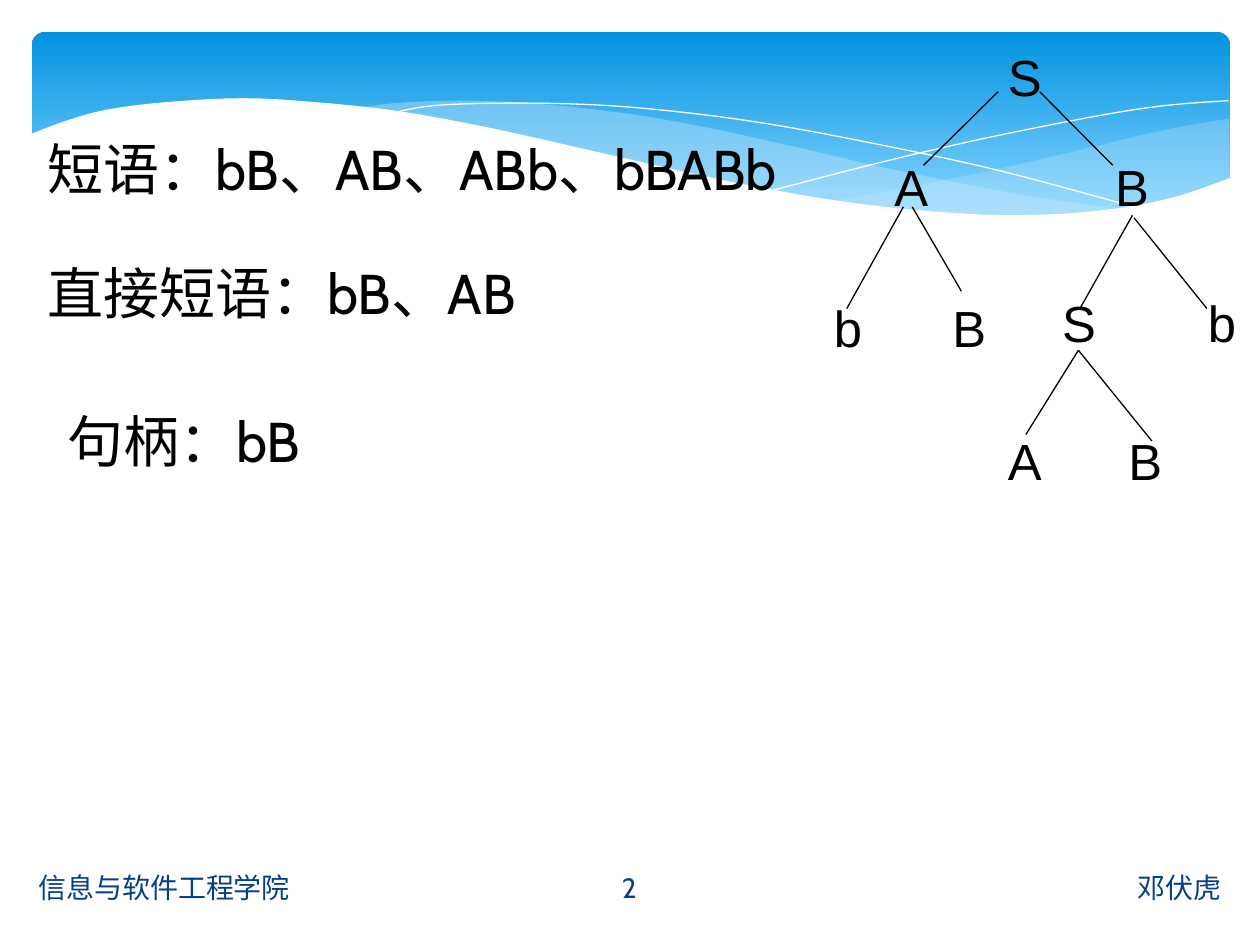
from lxml.etree import SubElement
from pptx import Presentation
from pptx.dml.color import RGBColor
from pptx.enum.shapes import MSO_CONNECTOR, MSO_SHAPE
from pptx.enum.text import MSO_ANCHOR, PP_ALIGN
from pptx.oxml.ns import qn
from pptx.util import Cm, Pt

# All positions are in centimetres.
BLACK, WHITE, NAVY, PALE = "000000", "FFFFFF", "073E87", "C6E7FC"

STATEMENTS = [  # text, left, top, width
    ("短语：bB、AB、ABb、bBABb", 0.71, 2.59, 15.34),
    ("直接短语：bB、AB", 0.71, 5.08, 10.03),
    ("句柄：bB", 1.12, 8.08, 5.23),
]
FOOTERS = [  # text, left, width, alignment
    ("邓伏虎", 14.35, 10.52, PP_ALIGN.RIGHT),
    ("信息与软件工程学院", 0.53, 10.52, PP_ALIGN.LEFT),
    ("2", 11.07, 3.23, PP_ALIGN.CENTER),
]
TREE_NODES = [  # symbol, left, top
    ("S", 20.07, 0.91),
    ("A", 17.78, 3.12), ("B", 22.23, 3.12),
    ("b", 16.56, 5.97), ("B", 18.95, 5.97), ("S", 21.16, 5.87), ("b", 24.1, 5.87),
    ("A", 20.07, 8.64), ("B", 22.5, 8.64),
]
TREE_BRANCHES = [  # from x, y, to x, y
    (20.12, 1.85, 18.62, 3.33), (20.96, 1.85, 22.43, 3.33),
    (18.21, 4.17, 17.07, 6.22), (18.39, 4.17, 19.38, 5.87),
    (22.83, 4.34, 21.77, 6.22), (22.86, 4.39, 24.33, 6.22),
    (21.74, 7.06, 20.68, 8.76), (21.74, 7.06, 23.22, 8.89),
]

# Each wave is a list of edges; an edge is a smooth curve through its points.
RIGHT_WAVE = [
    [(24.77, 2.39), (23.39, 2.64), (21.87, 3.0), (19.79, 3.48), (16.79, 4.06)],
    [(16.79, 4.06), (18.26, 4.24), (19.84, 4.37), (21.21, 4.37), (22.38, 4.24),
     (23.57, 4.01), (24.79, 3.58)],
]
MIDDLE_WAVE = [
    [(22.68, 4.24), (20.5, 3.91), (17.93, 3.4), (15.98, 2.95), (14.1, 2.54),
     (12.42, 2.26), (10.67, 2.08), (9.17, 2.03), (7.95, 2.08), (7.26, 2.18)],
    [(7.26, 2.18), (8.69, 2.39), (10.26, 2.69), (11.4, 2.95), (13.46, 3.43),
     (15.7, 3.89), (17.65, 4.19), (19.33, 4.34), (20.78, 4.39), (21.77, 4.34),
     (22.68, 4.24)],
]
FALLING_LINE = [
    [(7.85, 2.29), (8.74, 2.13), (10.19, 2.08), (11.91, 2.11), (13.54, 2.24),
     (15.44, 2.49), (17.65, 2.9), (20.19, 3.45), (23.04, 4.22)],
]
RISING_LINE = [
    [(15.57, 3.84), (17.65, 3.3), (19.71, 2.82), (22.0, 2.36), (23.47, 2.13),
     (24.77, 2.03)],
]
WHITE_WAVE = [
    [(24.82, 3.58), (23.62, 3.99), (22.23, 4.24), (20.55, 4.34), (18.9, 4.27),
     (16.97, 4.06), (14.71, 3.66), (12.07, 3.07), (9.93, 2.59), (8.03, 2.24),
     (6.35, 2.06), (4.9, 1.98), (3.35, 2.06), (2.16, 2.21), (1.32, 2.44),
     (0.58, 2.72)],
    [(0.58, 2.72), (0.58, 5.69)],
    [(0.58, 5.69), (24.82, 5.69)],
]
WAVES = [  # edges, fill, opacity in percent; no fill means a white hairline
    (RIGHT_WAVE, PALE, 29),
    (MIDDLE_WAVE, PALE, 40),
    (FALLING_LINE, None, None),
    (RISING_LINE, None, None),
    (WHITE_WAVE, WHITE, 100),
]


def color(value):
    return RGBColor.from_string(value)


def smooth(points, steps=4):
    """Add points between the given ones along a Catmull-Rom curve."""
    if len(points) == 2:
        return points
    padded = [points[0], *points, points[-1]]
    curve = [points[0]]
    for a, b, c, d in zip(padded, padded[1:], padded[2:], padded[3:]):
        for step in range(1, steps + 1):
            t = step / steps
            curve.append(tuple(
                (2 * q + (r - p) * t + (2 * p - 5 * q + 4 * r - s) * t ** 2
                 + (3 * q - p - 3 * r + s) * t ** 3) / 2
                for p, q, r, s in zip(a, b, c, d)))
    return curve


def add_banner(page):
    banner = page.shapes.add_shape(
        MSO_SHAPE.ROUNDED_RECTANGLE, Cm(0.64), Cm(0.64), Cm(24.16), Cm(3.96))
    banner.adjustments[0] = 0.07
    banner.shadow.inherit = False
    banner.line.fill.background()
    banner.fill.gradient()
    banner.fill.gradient_angle = 270
    stops = [(0, "0293E0"), (0.9, "83D3FE")]
    for stop, (position, value) in zip(banner.fill.gradient_stops, stops):
        stop.position = position
        stop.color.rgb = color(value)


def add_wave(page, edges, fill, opacity):
    points = [(Cm(x), Cm(y)) for edge in edges for x, y in smooth(edge)]
    builder = page.shapes.build_freeform(*points[0])
    builder.add_line_segments(points[1:], close=fill is not None)
    wave = builder.convert_to_shape()
    wave.shadow.inherit = False
    if fill is None:
        wave.fill.background()
        wave.line.color.rgb = color(WHITE)
        wave.line.width = Pt(0)
        return
    wave.line.fill.background()
    wave.fill.solid()
    wave.fill.fore_color.rgb = color(fill)
    if opacity < 100:
        tint = next(wave.element.spPr.iter(qn("a:srgbClr")))
        SubElement(tint, qn("a:alpha"), val=str(opacity * 1000))


def add_text(page, text, left, top, width, height, size, font, ink=BLACK,
             align=PP_ALIGN.LEFT, anchor=MSO_ANCHOR.TOP, spacing=1.0):
    box = page.shapes.add_textbox(Cm(left), Cm(top), Cm(width), Cm(height))
    frame = box.text_frame
    frame.word_wrap = True
    frame.vertical_anchor = anchor
    para = frame.paragraphs[0]
    para.alignment = align
    para.line_spacing = spacing
    span = para.add_run()
    span.text = text
    span.font.size = Pt(size)
    span.font.name = font
    span.font.color.rgb = color(ink)


def add_branch(page, *ends):
    branch = page.shapes.add_connector(MSO_CONNECTOR.STRAIGHT, *map(Cm, ends))
    branch.line.color.rgb = color(BLACK)
    branch.line.width = Pt(0.75)
    SubElement(branch.element.spPr, qn("a:effectLst"))


def main():
    deck = Presentation()
    deck.slide_width, deck.slide_height = Cm(25.4), Cm(19.05)
    page = deck.slides.add_slide(deck.slide_layouts[6])

    add_banner(page)
    for wave in WAVES:
        add_wave(page, *wave)
    for text, left, width, align in FOOTERS:
        add_text(page, text, left, 17.37, width, 1.02, 16, "Cabin", NAVY,
                 align, MSO_ANCHOR.MIDDLE)
    for branch in TREE_BRANCHES:
        add_branch(page, *branch)
    for symbol, left, top in TREE_NODES:
        add_text(page, symbol, left, top, 1.19, 1.4, 29, "Arial", spacing=0.93)
    for text, left, top, width in STATEMENTS:
        add_text(page, text, left, top, width, 1.63, 32, "Cabin")

    deck.save("out.pptx")


if __name__ == "__main__":
    main()
